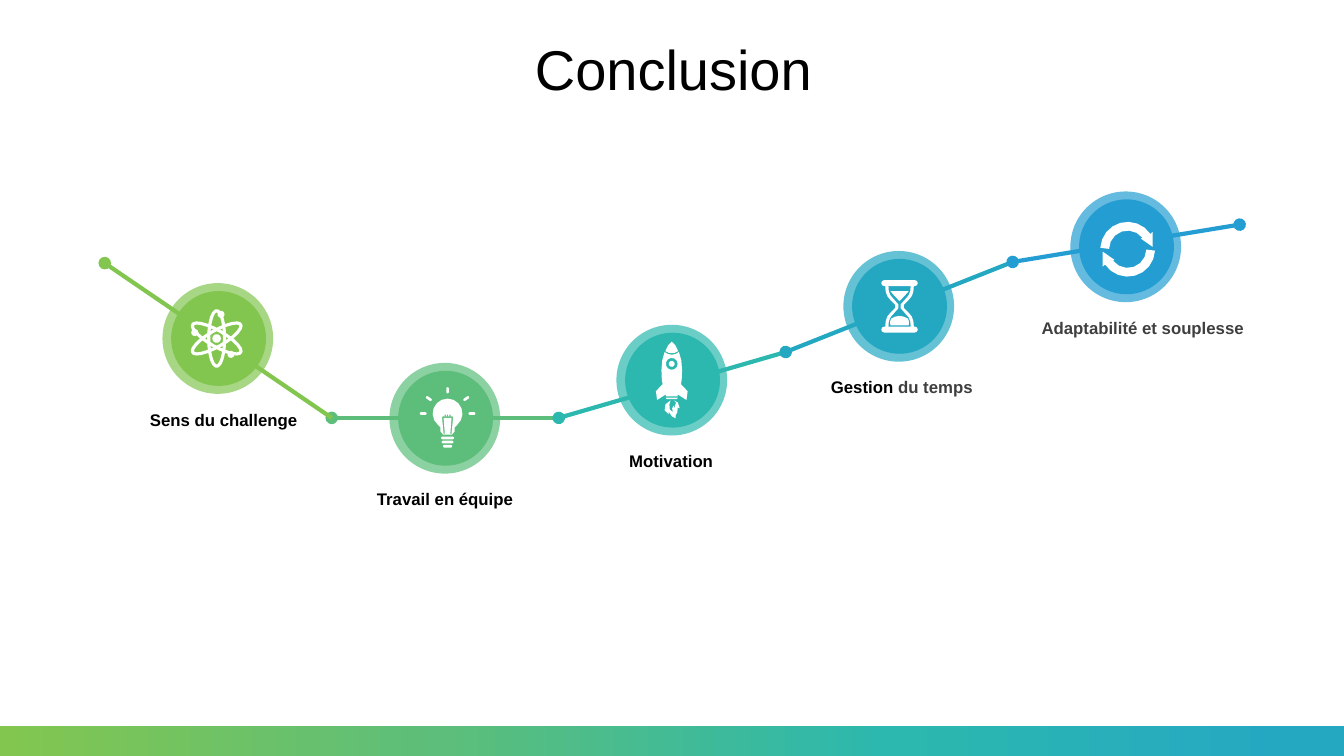
from math import atan2, cos, degrees, radians, sin

from pptx import Presentation
from pptx.dml.color import RGBColor
from pptx.enum.shapes import MSO_CONNECTOR as Link, MSO_SHAPE as Kind
from pptx.enum.text import MSO_AUTO_SIZE as Fit, PP_ALIGN as Align
from pptx.oxml.ns import qn
from pptx.util import Cm, Pt
from lxml.etree import SubElement as Sub

WHITE = RGBColor(0xFF, 0xFF, 0xFF)
BLACK = RGBColor(0, 0, 0)
GREY = RGBColor(0x3F, 0x3F, 0x3F)
LIME = RGBColor(0x82, 0xC6, 0x50)
GREEN = RGBColor(0x5C, 0xBE, 0x7A)
TEAL = RGBColor(0x2C, 0xB8, 0xAE)
CYAN = RGBColor(0x24, 0xA8, 0xC2)
BLUE = RGBColor(0x24, 0x9E, 0xD2)
TONES = [LIME, GREEN, TEAL, CYAN, BLUE]
FONT = "Arial"
STEP = 5.72


def arc(x, y, rx, ry, start=0, end=360, tilt=0):
    c, s = cos(radians(tilt)), sin(radians(tilt))
    count = max(3, int(abs(end - start) / 360 * (8 + 2 * max(rx, ry))))
    points = []
    for n in range(count + 1):
        turn = radians(start + (end - start) * n / count)
        u, v = rx * cos(turn), ry * sin(turn)
        points.append((x + u * c - v * s, y + u * s + v * c))
    return points


def dot(x, y, r):
    return arc(x, y, r, r)


def pill(x1, y1, x2, y2, r):
    way = degrees(atan2(y2 - y1, x2 - x1))
    return (arc(x2, y2, r, r, way - 90, way + 90)
            + arc(x1, y1, r, r, way + 90, way + 270))


def mirror(half):
    return half + [(-x, y) for x, y in reversed(half) if x]


def double(part):
    return mirror(part + [(x, -y) for x, y in reversed(part) if y])


def draw(slide, x, y, paths, width=None):
    pen = None
    for path in paths:
        spots = [(round(u * 1000), round(v * 1000)) for u, v in path]
        if pen is None:
            pen = slide.shapes.build_freeform(*spots[0], scale=Cm(0.1) / 1000)
        else:
            pen.move_to(*spots[0])
        pen.add_line_segments(spots[1:], close=True)
    shape = pen.convert_to_shape(Cm(x), Cm(y))
    shape.shadow.inherit = False
    if width:
        shape.fill.background()
        shape.line.color.rgb = WHITE
        shape.line.width = width
    else:
        shape.fill.solid()
        shape.fill.fore_color.rgb = WHITE
        shape.line.fill.background()


def atom(slide, x, y):
    draw(slide, x - 0.05, y,
         [arc(0, 0, 2, 7, tilt=tilt) for tilt in (0, 60, 120)], Pt(2.25))
    draw(slide, x - 0.05, y, [dot(0, 0, 1.1), dot(1.1, -6.1, 0.9),
                              dot(-5.5, -1.5, 0.9), dot(3.6, 4, 0.9)])


def bulb(slide, x, y):
    glass = mirror(arc(0, -1.2, 3.75, 3.75, -90, 50)
                   + [(1.8, 2.3), (1.8, 3.3), (1.1, 4.1), (0, 4.1)])
    wire = mirror([(0, -0.5), (1.2, -0.5), (1.4, -0.3), (1, 3.9),
                   (0.7, 3.9), (1, -0.1), (0, -0.1)])
    pegs = [[(u - 0.15, -0.9), (u + 0.15, -0.9), (u + 0.15, -0.5),
             (u - 0.15, -0.5)] for u in (-0.6, 0, 0.6)]
    base = [pill(-w, v, w, v, 0.35)
            for w, v in ((1.3, 4.95), (1.15, 6), (0.8, 7.05))]
    rays = []
    for turn in (0, 40, 90, 140, 180):
        c, s = cos(radians(turn)), -sin(radians(turn))
        rays.append(pill(5.6 * c, 5.4 * s - 1.2, 6.7 * c, 6.3 * s - 1.2, 0.33))
    draw(slide, x + 0.05, y, [glass, wire] + pegs + base + rays)


def rocket(slide, x, y):
    nose = mirror([(0, -9.7), (0.9, -8.8), (1.4, -7.8), (1.6, -7.3),
                   (0.8, -6.9), (0, -6.8)])
    body = mirror([(0, -6.4), (1, -6.6), (1.8, -7.1), (2.4, -5), (2.6, -2.5),
                   (2.5, 0), (2.3, 1), (4, 2.8), (3.7, 5), (1.5, 3.6),
                   (1.5, 4.1)])
    band = mirror([(1.5, 4.4), (1.3, 4.8)])
    flame = [(-0.3, 5.1), (-0.6, 6.1), (-0.5, 7.4), (0.3, 8.1), (0.1, 7.1),
             (0.5, 6.4), (0.8, 7.4), (0.8, 6.4), (1.1, 5.7), (0.5, 5.1),
             (1.5, 5.6), (2, 7.1), (1.5, 6.9), (1.4, 8.1), (1, 8.8), (1, 9.6),
             (0, 9.1), (-0.8, 7.9), (-0.8, 8.6), (-1.8, 7.6), (-1.6, 6.1)]
    draw(slide, x - 0.02, y,
         [nose, body, dot(0, -4.1, 1.5), dot(0, -4.1, 0.75), band, flame])


def timer(slide, x, y):
    caps = [pill(-3.85, v, 3.85, v, 0.75) for v in (-5.85, 5.85)]
    frame = double([(3.6, -5.1), (3.5, -3.8), (3.1, -2.6), (2.3, -1.6),
                    (1.1, -0.4)])
    hole = double([(2.8, -5.1), (2.7, -3.8), (2.3, -2.8), (1.8, -2.2),
                   (0.3, -0.5)])
    top = mirror([(2.3, -3.8), (1.5, -2.9), (0, -1.3)])
    sand = mirror([(0, 2.4), (1.1, 2.6), (2.1, 3.1), (2.4, 3.9), (2.3, 4.8)])
    draw(slide, x, y, caps + [frame, hole, top, sand])


def cycle(slide, x, y):
    half = (arc(0, 0, 6.9, 6.9, 3, 146)
            + [(-6.3, 4.4), (-6.3, 0.6), (-3.3, 2.7), (-3.8, 2.9)]
            + arc(0, 0, 4.7, 4.7, 142, 1))
    draw(slide, x + 0.03, y + 0.06, [half, [(-u, -v) for u, v in half]])


def disc(slide, x, y, size, tone, alpha=None):
    shape = slide.shapes.add_shape(Kind.OVAL, Cm(x - size / 2),
                                   Cm(y - size / 2), Cm(size), Cm(size))
    shape.shadow.inherit = False
    shape.line.fill.background()
    shape.fill.solid()
    shape.fill.fore_color.rgb = tone
    if alpha:
        color = shape._element.spPr.find(qn("a:solidFill"))[0]
        Sub(color, qn("a:alpha"), val=str(alpha * 1000))


def label(slide, x, y, w, h, runs, size, bold, align):
    box = slide.shapes.add_textbox(Cm(x), Cm(y), Cm(w), Cm(h))
    frame = box.text_frame
    frame.word_wrap = True
    if bold:
        frame.auto_size = Fit.SHAPE_TO_FIT_TEXT
    line = frame.paragraphs[0]
    line.alignment = align
    line.font.name = FONT
    line.font.size = Pt(size)
    line.font.bold = bold
    for text, tone in runs:
        run = line.add_run()
        run.text = text
        run.font.color.rgb = tone
    return line


def trail(slide, x, y):
    rises = [0, 3.9, 3.9, 2.24, -0.03, -0.97]
    for i in (1, 2, 3, 4, 0):
        link = slide.shapes.add_connector(
            Link.STRAIGHT, Cm(x + i * STEP), Cm(y + rises[i]),
            Cm(x + (i + 1) * STEP), Cm(y + rises[i + 1]))
        link.line.color.rgb = TONES[i]
        link.line.width = Pt(3)
        ends = ["headEnd", "tailEnd"] if i == 4 else ["headEnd"]
        for end in ends:
            Sub(link._element.spPr.find(qn("a:ln")), qn("a:" + end),
                type="oval")
        Sub(link._element.spPr, qn("a:effectLst"))


def stop(slide, x, y, tone, icon, runs, shift, w, align):
    disc(slide, x, y, 2.79, tone, 70)
    disc(slide, x + 0.02, y, 2.39, tone)
    label(slide, x - shift, y + 1.66, w, 0.77, runs, 12, True, align)
    icon(slide, x + 0.02, y)


def strip(slide, x, y, w, h):
    bar = slide.shapes.add_shape(Kind.RECTANGLE, Cm(x), Cm(y), Cm(w), Cm(h))
    bar.shadow.inherit = False
    bar.line.fill.background()
    bar.fill.gradient()
    bar.fill.gradient_angle = 0
    stops = bar._element.spPr.find(qn("a:gradFill")).find(qn("a:gsLst"))
    for old in list(stops):
        stops.remove(old)
    for place, tone in zip((0, 33, 66, 96, 100), TONES[:4] + [CYAN]):
        mark = Sub(stops, qn("a:gs"), pos=str(place * 1000))
        Sub(mark, qn("a:srgbClr"), val=str(tone))


def main():
    deck = Presentation()
    deck.slide_width, deck.slide_height = Cm(33.87), Cm(19.05)
    slide = deck.slides.add_slide(deck.slide_layouts[6])
    trail(slide, 2.64, 6.63)
    stops = [
        (8.53, atom, [("Sens du challenge", BLACK)], 1.96, 4.85, Align.LEFT),
        (10.54, bulb, [("Travail en équipe", BLACK)], 1.96, 4.88, Align.LEFT),
        (9.58, rocket, [("Motivation", BLACK)], 1.96, 3.89, Align.CENTER),
        (7.72, timer, [("Gestion", BLACK), (" du temps", GREY)], 1.96, 4.8,
         Align.LEFT),
        (6.22, cycle, [("Adaptabilité et souplesse", GREY)], 2.67, 6.2,
         Align.CENTER)]
    for i, (y, *parts) in enumerate(stops):
        stop(slide, 5.49 + i * STEP, y, TONES[i], *parts)
    strip(slide, 0, 18.3, 33.87, 0.75)
    title = label(slide, 0.89, 0.94, 32.16, 2.01, [("Conclusion", BLACK)],
                  40, False, Align.CENTER)
    title.line_spacing = 0.9
    deck.save("out.pptx")


if __name__ == "__main__":
    main()
